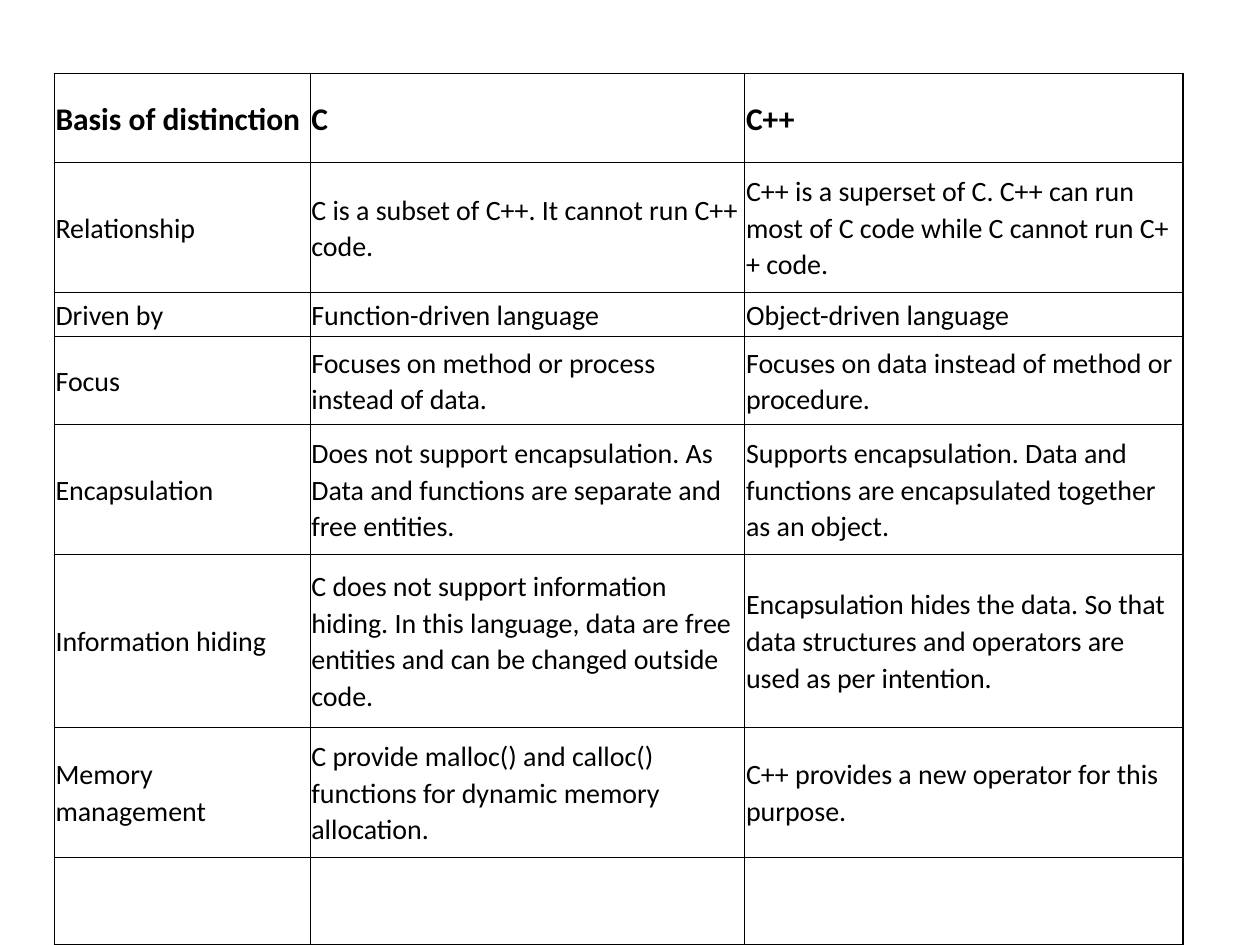
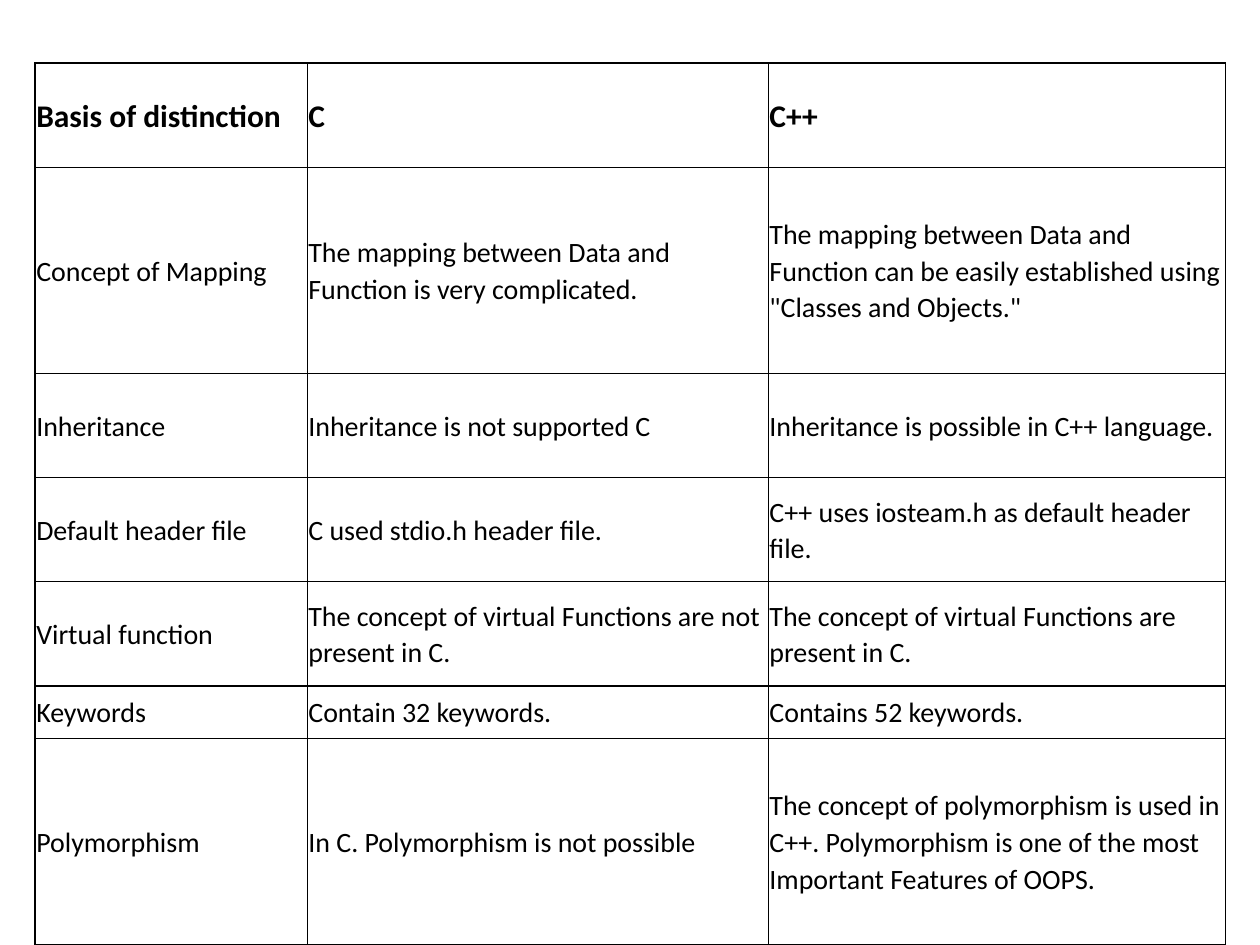
from lxml import etree
from pptx import Presentation
from pptx.dml.color import RGBColor
from pptx.enum import text
from pptx.oxml import ns
from pptx.util import Pt

COLORS = {"text": "000000", "border": "000000"}
HEADINGS = ("Basis of distinction", "C", "C++")


class Deck:
    """Holds the shared table style and the current slide."""

    font_name = "Calibri"
    heading_size, body_size = Pt(18), Pt(16)
    line_spacing = 1.07
    cell_margin = Pt(0.75)
    border_width = Pt(0.75)

    def __init__(self, width, height):
        self.presentation = Presentation()
        self.presentation.slide_width = Pt(width)
        self.presentation.slide_height = Pt(height)
        self.slide = None

    def add_slide(self):
        blank_layout = self.presentation.slide_layouts[6]
        self.slide = self.presentation.slides.add_slide(blank_layout)

    def add_comparison(self, left, top, column_widths, rows):
        """Add a table; each row is its height followed by its cell texts."""
        height = sum(row[0] for row in rows)
        table = self.slide.shapes.add_table(
            len(rows), len(column_widths), Pt(left), Pt(top),
            Pt(sum(column_widths)), Pt(height)).table
        table.horz_banding = False
        for column, width in zip(table.columns, column_widths):
            column.width = Pt(width)
        for row_index, (row_height, *words) in enumerate(rows):
            table.rows[row_index].height = Pt(row_height)
            for cell, content in zip(table.rows[row_index].cells, words):
                self.format_cell(cell, content, is_heading=row_index == 0)

    def format_cell(self, cell, content, is_heading):
        cell.text = content
        cell.vertical_anchor = text.MSO_ANCHOR.MIDDLE
        cell.margin_left = cell.margin_right = self.cell_margin
        cell.margin_top = cell.margin_bottom = self.cell_margin
        paragraph = cell.text_frame.paragraphs[0]
        paragraph.line_spacing = self.line_spacing
        font = paragraph.font
        font.name = self.font_name
        font.size = self.heading_size if is_heading else self.body_size
        font.bold = is_heading
        font.color.rgb = RGBColor.from_string(COLORS["text"])
        self.add_borders(cell)
        cell.fill.background()

    def add_borders(self, cell):
        properties = cell._tc.get_or_add_tcPr()
        for side in ("a:lnL", "a:lnR", "a:lnT", "a:lnB"):
            line = etree.SubElement(properties, ns.qn(side), w=str(self.border_width))
            fill = etree.SubElement(line, ns.qn("a:solidFill"))
            etree.SubElement(fill, ns.qn("a:srgbClr"), val=COLORS["border"])


def main():
    deck = Deck(720, 540)

    # Language basics, data handling and memory
    deck.add_slide()
    deck.add_comparison(31, 41.8, (146.2, 248.4, 250.4), [
        (51.1, *HEADINGS),
        (74.3, "Relationship",
         "C is a subset of C++. It cannot run C++ code.",
         "C++ is a superset of C. C++ can run most of C code while C cannot run C++ code."),
        (25.3, "Driven by", "Function-driven language", "Object-driven language"),
        (50, "Focus",
         "Focuses on method or process instead of data.",
         "Focuses on data instead of method or procedure."),
        (74.3, "Encapsulation",
         "Does not support encapsulation. As Data and functions are separate and free entities.",
         "Supports encapsulation. Data and functions are encapsulated together as an object."),
        (98.9, "Information hiding",
         "C does not support information hiding. In this language, data are free entities "
         "and can be changed outside code.",
         "Encapsulation hides the data. So that data structures and operators are used "
         "as per intention."),
        (74.3, "Memory management",
         "C provide malloc() and calloc() functions for dynamic memory allocation.",
         "C++ provides a new operator for this purpose."),
        (50, "", "", ""),
    ])

    # Object-oriented features, headers and keywords
    short, medium, tall = 30, 59.5, 118
    deck.add_slide()
    deck.add_comparison(20, 36, (155.5, 263.5, 261.4), [
        (medium, *HEADINGS),
        (tall, "Concept of Mapping",
         "The mapping between Data and Function is very complicated.",
         "The mapping between Data and Function can be easily established using "
         '"Classes and Objects."'),
        (medium, "Inheritance",
         "Inheritance is not supported C",
         "Inheritance is possible in C++ language."),
        (medium, "Default header file",
         "C used stdio.h header file.",
         "C++ uses iosteam.h as default header file."),
        (medium, "Virtual function",
         "The concept of virtual Functions are not present in C.",
         "The concept of virtual Functions are present in C."),
        (short, "Keywords", "Contain 32 keywords.", "Contains 52 keywords."),
        (tall, "Polymorphism",
         "In C. Polymorphism is not possible",
         "The concept of polymorphism is used in C++. Polymorphism is one of the most "
         "Important Features of OOPS."),
    ])

    deck.presentation.save("out.pptx")


if __name__ == "__main__":
    main()
